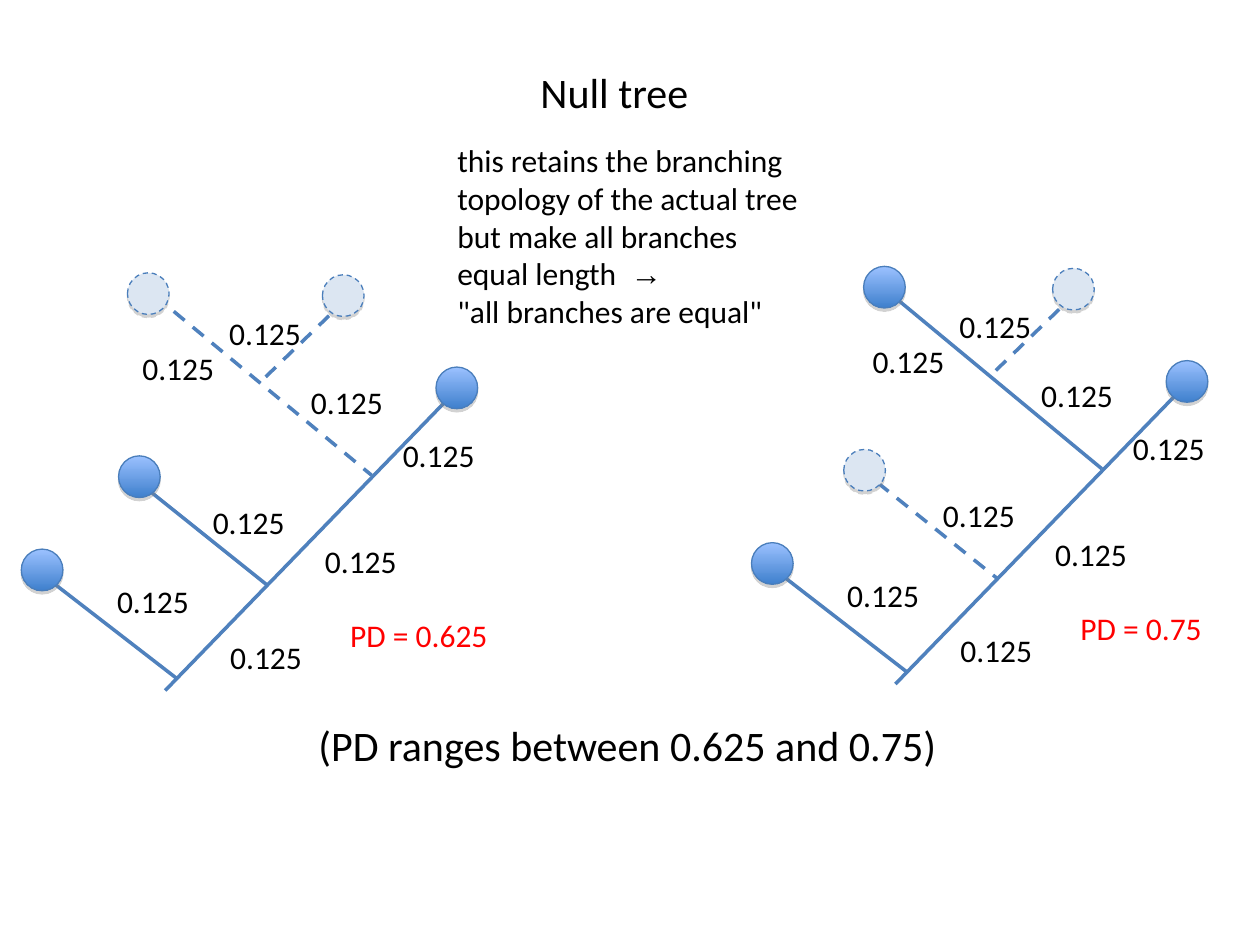
from dataclasses import dataclass

from lxml import etree
from pptx import Presentation
from pptx.dml.color import RGBColor
from pptx.enum import dml, shapes, text
from pptx.oxml import parse_xml
from pptx.oxml.ns import nsdecls, qn
from pptx.util import Cm, Pt

BLACK = RGBColor(0x00, 0x00, 0x00)
RED = RGBColor(0xFF, 0x00, 0x00)
BRANCH_BLUE = RGBColor(0x4F, 0x81, 0xBD)
OUTLINE_BLUE = RGBColor(0x4A, 0x7E, 0xBB)
LIGHT_TOP = RGBColor(0x9B, 0xC1, 0xFF)
DARK_BOTTOM = RGBColor(0x3F, 0x80, 0xCD)
PALE = RGBColor(0xDC, 0xE6, 0xF2)
FONT = "Calibri"
TIP_SIZE = 0.84
LABEL_WIDTH, LABEL_HEIGHT = 1.96, 1.02


@dataclass(frozen=True)
class Branch:
    """A branch and its tip, in cm within a tree; a lost tip may sit elsewhere."""
    name: str
    start: tuple[float, float]
    end: tuple[float, float]
    tip: tuple[float, float]
    lost_left: float


@dataclass(frozen=True)
class Tree:
    left: float
    top: float
    lost: frozenset[str]
    total: str
    total_width: float


BRANCHES = (
    Branch("A", (0.89, 11.61), (3.58, 13.69), (0.43, 11.07), 0.43),
    Branch("B", (2.97, 9.86), (5.38, 11.79), (2.39, 9.19), 2.29),
    Branch("C", (3.12, 5.96), (7.49, 9.58), (2.69, 5.5), 2.57),
    Branch("E", (9.09, 7.98), (3.33, 13.92), (8.79, 7.4), 8.79),
    Branch("D", (6.99, 6.02), (5.28, 7.67), (6.5, 5.54), 6.5),
)
LENGTH_LABELS = (
    (2.11, 11.61), (4.39, 12.73), (6.3, 10.8), (4.04, 10.01),
    (4.37, 6.2), (6.02, 7.59), (7.87, 8.66), (2.62, 6.91),
)
TREES = (
    Tree(14.72, -0.13, frozenset("BD"), "PD = 0.75", 2.95),
    Tree(0, 0, frozenset("CD"), "PD = 0.625", 3.28),
)
EXPLANATION = (
    "this retains the branching\n"
    "topology of the actual tree\n"
    "but make all branches\n"
    "equal length  \n"
    '"all branches are equal"'
)


def format_text(tf, size: float, color: RGBColor = BLACK, wrap: bool = False) -> None:
    tf.word_wrap = wrap
    tf.vertical_anchor = text.MSO_ANCHOR.TOP
    for p in tf.paragraphs:
        p.alignment = text.PP_ALIGN.LEFT
        for r in p.runs:
            r.font.name = FONT
            r.font.size = Pt(size)
            r.font.color.rgb = color


def add_text(parent, words: str, left: float, top: float, width: float, height: float,
             size: float = 18, color: RGBColor = BLACK, wrap: bool = False):
    tf = parent.add_textbox(Cm(left), Cm(top), Cm(width), Cm(height)).text_frame
    tf.text = words
    format_text(tf, size, color, wrap)
    return tf


def add_branch(parent, branch: Branch, tree: Tree) -> None:
    (x1, y1), (x2, y2) = branch.start, branch.end
    line = parent.add_connector(
        shapes.MSO_CONNECTOR.STRAIGHT,
        Cm(tree.left + x1), Cm(tree.top + y1), Cm(tree.left + x2), Cm(tree.top + y2))
    line.line.color.rgb = BRANCH_BLUE
    line.line.width = Pt(2)
    if branch.name in tree.lost:
        line.line.dash_style = dml.MSO_LINE.DASH
    etree.SubElement(line._element.spPr, qn("a:effectLst"))


def add_tip(parent, branch: Branch, tree: Tree) -> None:
    lost = branch.name in tree.lost
    x, y = branch.tip
    if lost:
        x = branch.lost_left
    sp = parent.add_shape(shapes.MSO_SHAPE.OVAL, Cm(tree.left + x), Cm(tree.top + y),
                          Cm(TIP_SIZE), Cm(TIP_SIZE))
    sp.line.color.rgb = OUTLINE_BLUE
    sp.line.width = Pt(0.75)
    if lost:
        sp.fill.solid()
        sp.fill.fore_color.rgb = PALE
        sp.line.dash_style = dml.MSO_LINE.DASH
    else:
        sp.fill.gradient()
        sp.fill.gradient_angle = 270
        for stop, color, position in zip(sp.fill.gradient_stops,
                                         (LIGHT_TOP, DARK_BOTTOM), (0, 1)):
            stop.color.rgb = color
            stop.position = position
    sp._element.spPr.append(parse_xml(
        f'<a:effectLst {nsdecls("a")}>'
        '<a:outerShdw blurRad="0" dist="22860" dir="5400000" rotWithShape="0">'
        '<a:srgbClr val="808080"><a:alpha val="35000"/></a:srgbClr>'
        '</a:outerShdw></a:effectLst>'))


def add_tree(s, tree: Tree) -> None:
    group = s.shapes.add_group_shape().shapes
    for branch in BRANCHES:
        add_branch(group, branch, tree)
    for branch in BRANCHES:
        add_tip(group, branch, tree)
    for x, y in LENGTH_LABELS:
        add_text(group, "0.125", tree.left + x, tree.top + y, LABEL_WIDTH, LABEL_HEIGHT)
    add_text(group, tree.total, tree.left + 6.81, tree.top + 12.29,
             tree.total_width, LABEL_HEIGHT, color=RED)


def main() -> None:
    prs = Presentation()
    prs.slide_width, prs.slide_height = Cm(25.4), Cm(19.05)
    s = prs.slides.add_slide(prs.slide_layouts[5])

    title = s.shapes.title
    title.left, title.top, title.width, title.height = Cm(10.64), Cm(1.22), Cm(3.51), Cm(1.27)
    title.text_frame.text = "Null tree"
    format_text(title.text_frame, 24)

    add_text(s.shapes, "(PD ranges between 0.625 and 0.75)", 6.17, 14.38, 13, 1.27, size=24)
    for tree in TREES:
        add_tree(s, tree)

    tf = add_text(s.shapes, EXPLANATION, 8.97, 2.72, 7.8, 4.06, wrap=True)
    r = tf.paragraphs[3].add_run()
    r.text = "→"
    r.font.name = "Arial"
    r.font.size = Pt(18)
    r.font.color.rgb = BLACK

    prs.save("out.pptx")


if __name__ == "__main__":
    main()
